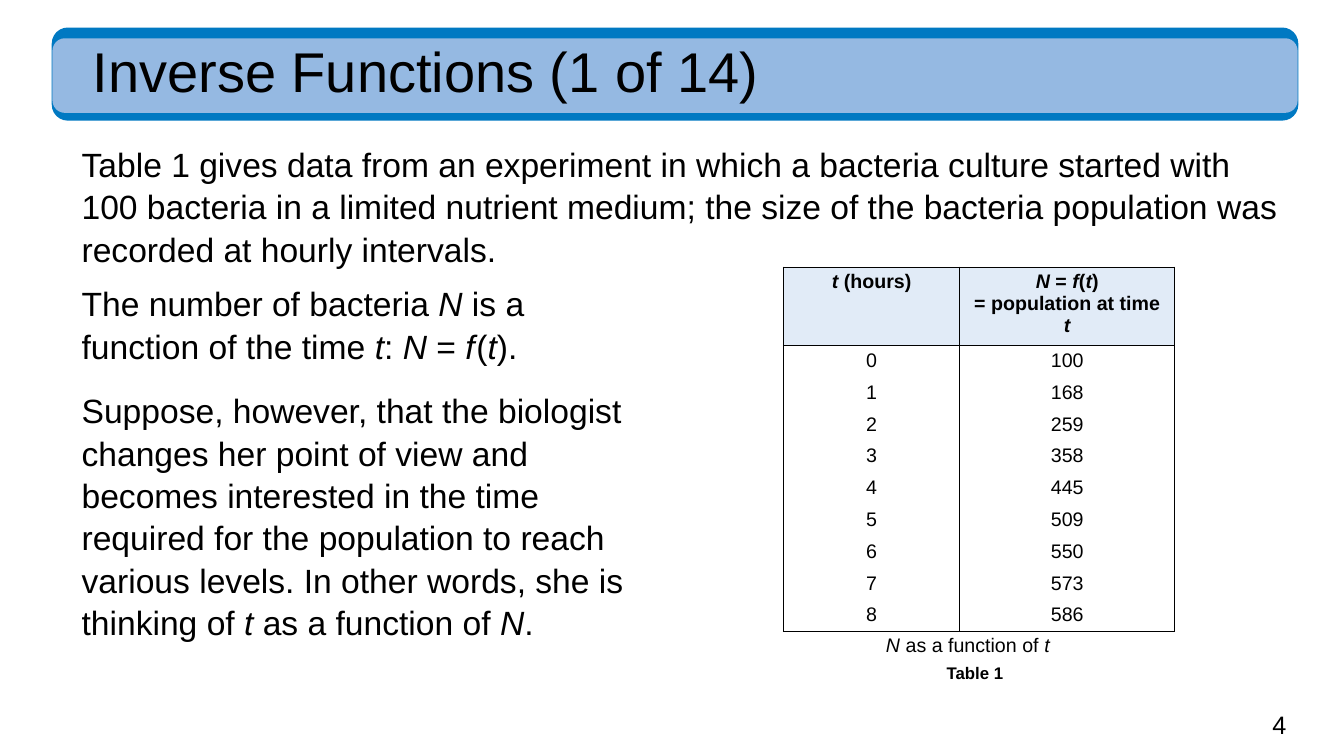
from dataclasses import dataclass

from lxml.etree import SubElement
from pptx import Presentation
from pptx.dml.color import RGBColor
from pptx.enum.shapes import MSO_SHAPE
from pptx.enum.text import MSO_ANCHOR, PP_ALIGN
from pptx.oxml.ns import qn
from pptx.util import Inches, Pt


@dataclass(frozen=True)
class Theme:
    """Colours, font and type sizes of the deck."""
    font: str = "Arial"
    ink: str = "000000"
    band: str = "0079C2"
    band_light: str = "95B9E2"
    header: str = "E1EBF7"
    title: int = 40
    body: int = 24
    number: int = 18
    table: int = 14
    label: int = 12
    thin_space: int = 4


THEME = Theme()
INTRODUCTION = (
    "Table 1 gives data from an experiment in which a bacteria culture started with "
    "100 bacteria in a limited nutrient medium; the size of the bacteria population "
    "was recorded at hourly intervals."
)
DISCUSSION = [
    "The number of bacteria *N* is a function of the time *t*: *N* = *f** *(*t*).",
    "Suppose, however, that the biologist changes her point of view and becomes "
    "interested in the time required for the population to reach various levels. "
    "In other words, she is thinking of *t* as a function of *N*.",
]
HEADERS = ["*t* (hours)", "*N* = *f*(*t*)\n= population at time *t*"]
POPULATION = [100, 168, 259, 358, 445, 509, 550, 573, 586]


def write_paragraph(para, text, size, bold=False, align=PP_ALIGN.LEFT):
    """Write text in which asterisks enclose italics and a lone space is thin."""
    para.alignment = align
    para.font.name = THEME.font
    para.font.size = Pt(size)
    para.font.bold = bold
    para.font.color.rgb = RGBColor.from_string(THEME.ink)
    for index, part in enumerate(text.split("*")):
        for line_number, line in enumerate(part.split("\n")):
            if line_number:
                para.add_line_break()
            if line:
                span = para.add_run()
                span.text = line
                span.font.italic = index % 2 == 1
                if line == " ":
                    span.font.size = Pt(THEME.thin_space)


def add_text(slide, box, texts, size, spacing=1.0, before=0, after=0, inset=0, **style):
    """Add a wrapped text box with one paragraph for each text."""
    frame = slide.shapes.add_textbox(*map(Inches, box)).text_frame
    frame.word_wrap = True
    frame.vertical_anchor = MSO_ANCHOR.TOP
    frame.margin_left = frame.margin_right = Inches(inset)
    frame.margin_top = frame.margin_bottom = Inches(inset / 2)
    for index, text in enumerate(texts):
        para = frame.add_paragraph() if index else frame.paragraphs[0]
        para.line_spacing = spacing
        para.space_before = Pt(before)
        para.space_after = Pt(after)
        write_paragraph(para, text, size, **style)


def add_title(slide, box, title):
    """Draw the two-tone title band and its title."""
    left, top, width, height = box
    layers = [(top, height, THEME.band), (top + 0.1, height - 0.17, THEME.band_light)]
    for layer_top, layer_height, color in layers:
        band = slide.shapes.add_shape(
            MSO_SHAPE.ROUNDED_RECTANGLE,
            *map(Inches, (left, layer_top, width, layer_height)))
        band.shadow.inherit = False
        band.fill.solid()
        band.fill.fore_color.rgb = RGBColor.from_string(color)
        if color == THEME.band:
            band.line.color.rgb = RGBColor.from_string(color)
            band.line.width = Pt(1)
        else:
            band.line.fill.background()
    add_text(slide, (left + 0.4, top + 0.16, width - 0.85, 0.74), [title],
             THEME.title, spacing=0.9)


def set_borders(cell, sides):
    """Rule the named sides of a cell and clear the others."""
    properties = cell._tc.get_or_add_tcPr()
    for side in "LRTB":
        line = SubElement(properties, qn(f"a:ln{side}"), w=str(Pt(1)))
        if side in sides:
            fill = SubElement(line, qn("a:solidFill"))
            SubElement(fill, qn("a:srgbClr"), val=THEME.ink)
        else:
            SubElement(line, qn("a:noFill"))


def add_population_table(slide, box):
    """Draw the hourly population table with a taller header row."""
    rows = [HEADERS] + [[str(hour), str(size)] for hour, size in enumerate(POPULATION)]
    table = slide.shapes.add_table(len(rows), 2, *map(Inches, box)).table
    table.horz_banding = False
    header_height = 0.74
    first_width = 1.75
    table.columns[0].width = Inches(first_width)
    table.columns[1].width = Inches(box[2] - first_width)
    for row_index, values in enumerate(rows):
        is_header = row_index == 0
        row_height = header_height if is_header else (box[3] - header_height) / len(POPULATION)
        table.rows[row_index].height = Inches(row_height)
        sides = "LR"
        if row_index <= 1:
            sides += "T"
        if row_index in (0, len(POPULATION)):
            sides += "B"
        for column, value in enumerate(values):
            cell = table.cell(row_index, column)
            cell.margin_left = cell.margin_right = Inches(0.09)
            cell.margin_top = cell.margin_bottom = Inches(0.04)
            set_borders(cell, sides)
            if is_header:
                cell.fill.solid()
                cell.fill.fore_color.rgb = RGBColor.from_string(THEME.header)
            else:
                cell.fill.background()
            write_paragraph(cell.text_frame.paragraphs[0], value, THEME.table,
                            bold=is_header, align=PP_ALIGN.CENTER)


def add_caption(slide, box):
    """Write the table's description and, below it, its label."""
    left, top, width, height = box
    line_height = height / 2
    add_text(slide, (left, top, width, line_height), ["*N* as a function of *t*"],
             THEME.table, spacing=0.9, before=6, align=PP_ALIGN.CENTER)
    add_text(slide, (left + 0.07, top + line_height, width, line_height), ["Table 1"],
             THEME.label, spacing=0.9, before=6, bold=True, align=PP_ALIGN.CENTER)


def add_body(slide, box, texts):
    """Write body paragraphs."""
    add_text(slide, box, texts, THEME.body, spacing=1.05, before=10, after=6)


def main():
    """Build and save the deck."""
    deck = Presentation()
    deck.slide_width = Inches(13.33)
    deck.slide_height = Inches(7.5)
    slide = deck.slides.add_slide(deck.slide_layouts[6])
    add_text(slide, (12.52, 6.99, 0.71, 0.4), ["4"], THEME.number, inset=0.1)
    add_title(slide, (0.52, 0.28, 12.35, 0.91), "Inverse Functions (1 of 14)")
    add_body(slide, (0.81, 1.41, 11.94, 1.06), [INTRODUCTION])
    add_caption(slide, (8.47, 6.31, 2.26, 0.58))
    add_population_table(slide, (7.77, 2.65, 3.88, 3.58))
    add_body(slide, (0.81, 2.79, 5.63, 3.81), DISCUSSION)
    deck.save("out.pptx")


if __name__ == "__main__":
    main()
